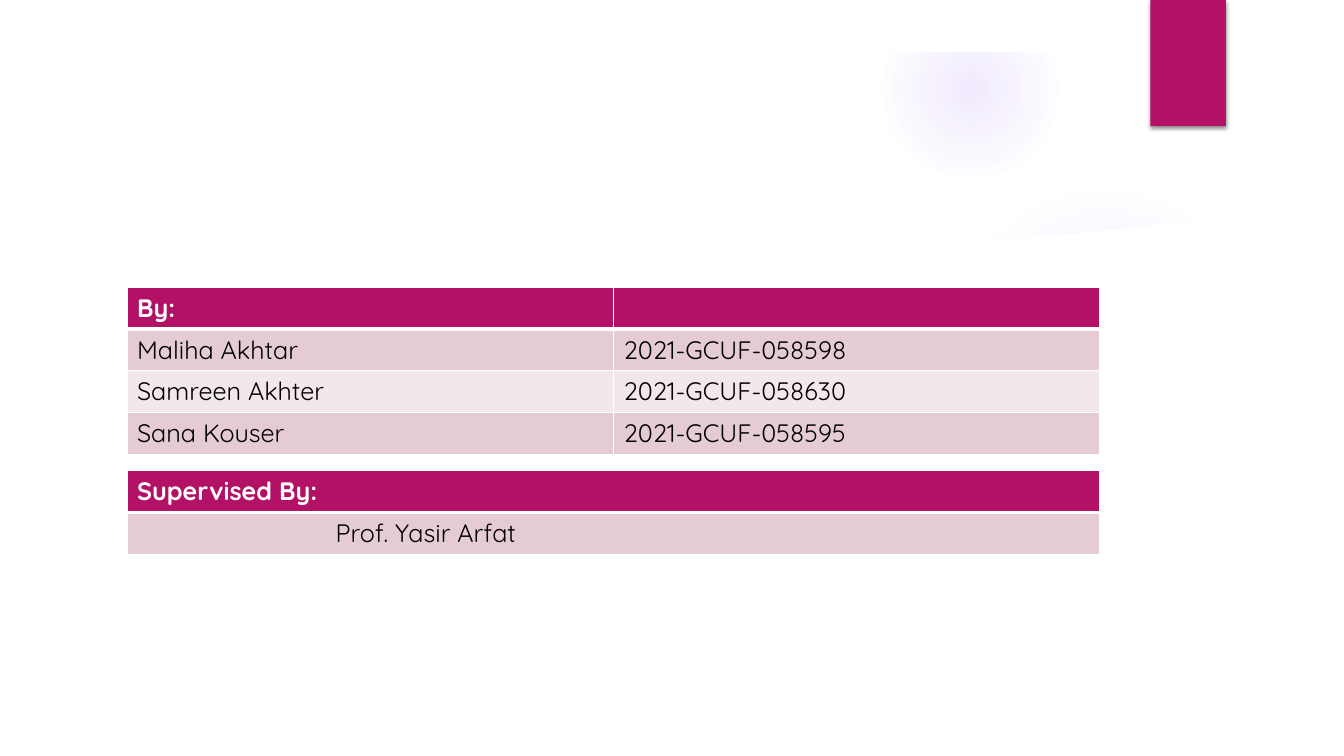
"""Build the credits slide: student table, supervisor table, corner tab and soft glows."""
from lxml import etree
from pptx import Presentation
from pptx.dml.color import RGBColor
from pptx.enum.shapes import MSO_SHAPE
from pptx.oxml import parse_xml
from pptx.oxml.ns import nsdecls, qn
from pptx.util import Inches, Pt

OVAL, RECT = MSO_SHAPE.OVAL, MSO_SHAPE.RECTANGLE
MAGENTA = RGBColor(0xB3, 0x11, 0x66)
ROSE = RGBColor(0xE5, 0xCC, 0xD3)
PALE_ROSE = RGBColor(0xF2, 0xE7, 0xEA)
WHITE = RGBColor(0xFF, 0xFF, 0xFF)
BLACK = RGBColor(0, 0, 0)
GLOW = RGBColor(0x9B, 0x6B, 0xF2)
FONT = "Quicksand"

STUDENTS = [
    ("By:", ""),
    ("Maliha Akhtar", "2021-GCUF-058598"),
    ("Samreen Akhter", "2021-GCUF-058630"),
    ("Sana Kouser", "2021-GCUF-058595"),
]
SUPERVISOR = [("Supervised By:",), ("Prof. Yasir Arfat",)]
TABLE_LEFT, TABLE_WIDTH, ROW_HEIGHT = 1.26, 9.65, 0.405
SUPERVISOR_INDENT = 2.07

GLOWS = [
    (9.41, 1.83, 3.08, [(0, 7), (36, 6), (69, 0)]),
    (8.75, 0.01, 1.75, [(0, 14), (36, 7), (73, 0)]),
]
PANEL = [
    (0.5, 2.04), (0.5, 7), (12.84, 7), (12.84, 2.04), (12, 2.17), (11.16, 2.27),
    (10.32, 2.35), (9.49, 2.41), (8.4, 2.46), (7.08, 2.48), (5.59, 2.46),
    (4.44, 2.41), (2.83, 2.3), (1.59, 2.18),
]


def style_shape(sp, color):
    sp.shadow.inherit = False
    sp.fill.solid()
    sp.fill.fore_color.rgb = color
    sp.line.fill.background()


def add_rect(s, left, top, width, height, color):
    sp = s.shapes.add_shape(RECT, *map(Inches, (left, top, width, height)))
    style_shape(sp, color)
    return sp


def add_glow(s, left, top, size, stops):
    sp = s.shapes.add_shape(OVAL, *map(Inches, (left, top, size, size)))
    sp.shadow.inherit = False
    sp.line.fill.background()
    gs = "".join(
        f'<a:gs pos="{pos * 1000}"><a:srgbClr val="{GLOW}">'
        f'<a:alpha val="{alpha * 1000}"/></a:srgbClr></a:gs>'
        for pos, alpha in stops)
    grad = parse_xml(
        f'<a:gradFill {nsdecls("a")}><a:gsLst>{gs}</a:gsLst><a:path path="circle">'
        '<a:fillToRect l="50000" t="50000" r="50000" b="50000"/></a:path></a:gradFill>')
    sp.element.spPr.find(qn("a:ln")).addprevious(grad)


def add_drop_shadow(sp):
    effects = sp.element.spPr.find(qn("a:effectLst"))
    shadow = etree.SubElement(effects, qn("a:outerShdw"), blurRad=str(Pt(3)),
                              dist=str(Pt(2)), dir="5400000", rotWithShape="0")
    color = etree.SubElement(shadow, qn("a:srgbClr"), val=str(BLACK))
    etree.SubElement(color, qn("a:alpha"), val="45000")


def set_borders(cell, row):
    widths = {"L": 1, "R": 1, "T": 3 if row == 1 else 1, "B": 3 if row == 0 else 1}
    tcPr = cell._tc.get_or_add_tcPr()
    for i, (side, width) in enumerate(widths.items()):
        tcPr.insert(i, parse_xml(
            f'<a:ln{side} {nsdecls("a")} w="{Pt(width)}"><a:solidFill>'
            f'<a:srgbClr val="{WHITE}"/></a:solidFill></a:ln{side}>'))


def add_table(s, top, rows):
    n, m = len(rows), len(rows[0])
    frame = s.shapes.add_table(n, m, Inches(TABLE_LEFT), Inches(top),
                               Inches(TABLE_WIDTH), Inches(ROW_HEIGHT * n))
    table = frame.table
    for i, row in enumerate(rows):
        table.rows[i].height = Inches(ROW_HEIGHT)
        for j, text in enumerate(row):
            cell = table.cell(i, j)
            cell.fill.solid()
            cell.fill.fore_color.rgb = MAGENTA if i == 0 else ROSE if i % 2 else PALE_ROSE
            set_borders(cell, i)
            p = cell.text_frame.paragraphs[0]
            p.text = text
            p.font.name, p.font.size = FONT, Pt(18)
            for r in p.runs:
                r.font.name, r.font.size = FONT, Pt(18)
                r.font.bold = i == 0
                r.font.color.rgb = BLACK if i else WHITE
    return table


def main():
    prs = Presentation()
    prs.slide_width, prs.slide_height = Inches(13.33), Inches(7.5)
    s = prs.slides.add_slide(prs.slide_layouts[6])

    for glow in GLOWS:
        add_glow(s, *glow)
    points = [(Inches(x), Inches(y)) for x, y in PANEL]
    builder = s.shapes.build_freeform(*points[0])
    builder.add_line_segments(points[1:], close=True)
    style_shape(builder.convert_to_shape(), WHITE)
    add_rect(s, 0, 0, 13.33, 0.52, WHITE)
    add_drop_shadow(add_rect(s, 11.41, 0, 0.75, 1.25, MAGENTA))

    add_table(s, 2.85, STUDENTS)
    supervisor = add_table(s, 4.67, SUPERVISOR)
    supervisor.cell(1, 0).margin_left = Inches(SUPERVISOR_INDENT)
    prs.save("out.pptx")


if __name__ == "__main__":
    main()
